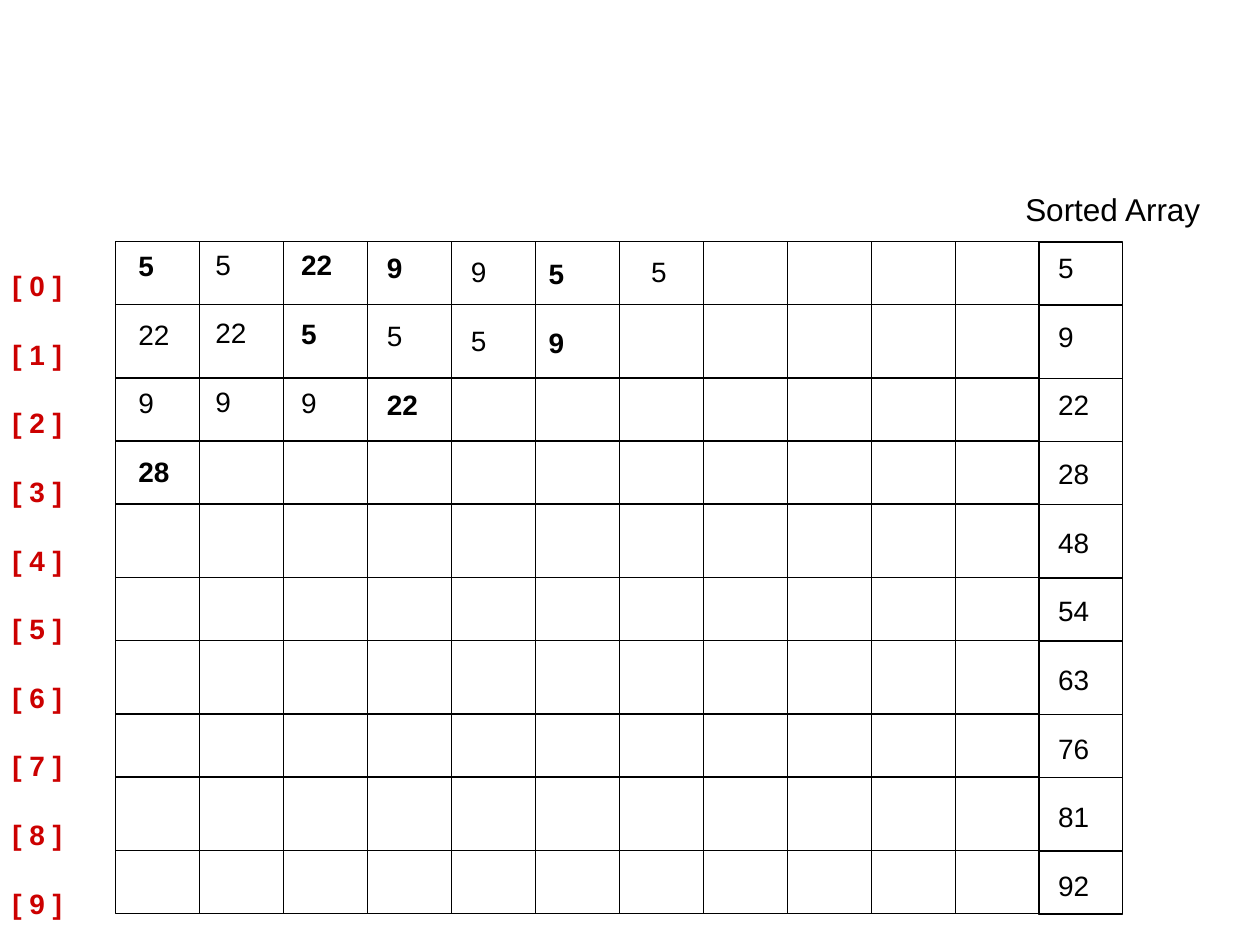
import itertools
from dataclasses import dataclass

import pptx
import pptx.dml.color
import pptx.enum.shapes
import pptx.enum.text
import pptx.oxml
import pptx.util
from pptx.util import Pt


@dataclass(frozen=True)
class Theme:
    ink = pptx.dml.color.RGBColor(0x00, 0x00, 0x00)
    index = pptx.dml.color.RGBColor(0xCC, 0x00, 0x00)
    font = "Arial"
    body = Pt(16)
    heading = Pt(18)
    rule = Pt(1)
    entry_gap = Pt(20)


THEME = Theme()
ROW_HEIGHTS = [36, 42, 36, 36, 42, 36, 42, 36, 42, 36]
COLUMN_WIDTH = 48
GRID_LEFT, GRID_TOP = 66, 138
GRID_COLUMNS = 11
SORTED_VALUES = "5 9 22 28 48 54 63 76 81 92".split()

# Left and top of each heap state; an asterisk marks a bold entry.
HEAP_STATES = [
    (72, 138.5, ["*5", "22", "9", "*28"]),
    (116, 137.8, ["5", "22", "9"]),
    (165, 138.2, ["*22", "*5", "9"]),
    (214, 139.5, ["*9", "5", "*22"]),
    (262, 142, ["9", "5"]),
    (306.5, 143.3, ["*5", "*9"]),
    (365, 142, ["5"]),
]


def set_values(target, values):
    for name, value in values.items():
        setattr(target, name, value)


def add_array_column(page, box):
    """Draw one framed array column with a line below each cell but the last."""
    left, top, width, height = box
    column = page.shapes.add_group_shape()
    frame = column.shapes.add_shape(
        pptx.enum.shapes.MSO_SHAPE.RECTANGLE, Pt(left), Pt(top), Pt(width), Pt(height))
    frame.shadow.inherit = False
    frame.fill.background()
    dividers = []
    for offset in itertools.accumulate(ROW_HEIGHTS[:-1]):
        y = Pt(top + offset)
        divider = column.shapes.add_connector(
            pptx.enum.shapes.MSO_CONNECTOR.STRAIGHT, Pt(left), y, Pt(left + width), y)
        divider._element.spPr.append(pptx.oxml.parse_xml(
            '<a:effectLst xmlns:a="http://schemas.openxmlformats.org/drawingml/2006/main"/>'))
        dividers.append(divider)
    for outline in [frame, *dividers]:
        outline.line.width = THEME.rule
        outline.line.color.rgb = THEME.ink


def add_entries(page, box, entries, color=THEME.ink, size=THEME.body, wrap=True):
    """Stack entries in one text box; a leading asterisk makes an entry bold."""
    text_box = page.shapes.add_textbox(*map(Pt, box))
    frame = text_box.text_frame
    set_values(frame, {
        "word_wrap": wrap,
        "vertical_anchor": pptx.enum.text.MSO_ANCHOR.TOP,
        "margin_left": Pt(7.2), "margin_right": Pt(7.2),
        "margin_top": Pt(3.6), "margin_bottom": Pt(3.6),
    })
    for number, entry in enumerate(entries):
        para = frame.add_paragraph() if number else frame.paragraphs[0]
        set_values(para, {
            "alignment": pptx.enum.text.PP_ALIGN.LEFT,
            "space_after": THEME.entry_gap if number < len(entries) - 1 else Pt(0),
        })
        span = para.add_run()
        span.text = entry.lstrip("*")
        set_values(span.font, {
            "name": THEME.font, "size": size, "bold": entry.startswith("*")})
        span.font.color.rgb = color


def add_heap_grid(page, box):
    left, top, width, height = box
    column_width = width / GRID_COLUMNS
    for number in range(GRID_COLUMNS):
        add_array_column(page, (left + number * column_width, top, column_width, height))
    for state_left, state_top, entries in HEAP_STATES:
        add_entries(page, (state_left, state_top, 36, 38.4 * len(entries)), entries)


def add_index_labels(page, box):
    labels = [f"*[ {number} ]" for number in range(len(ROW_HEIGHTS))]
    add_entries(page, box, labels, color=THEME.index, wrap=False)


def add_sorted_array(page, box):
    left, top, width, height = box
    add_array_column(page, box)
    add_entries(page, (left + 4.1, top + 1.5, 32.4, 376), SORTED_VALUES, wrap=False)
    add_entries(page, (left - 14.7, top - 33, 115.2, 28.8), ["Sorted Array"],
                size=THEME.heading, wrap=False)


def main():
    deck = pptx.Presentation()
    set_values(deck, {"slide_width": Pt(720), "slide_height": Pt(540)})
    page = deck.slides.add_slide(deck.slide_layouts[6])
    height = sum(ROW_HEIGHTS)
    add_heap_grid(page, (GRID_LEFT, GRID_TOP, GRID_COLUMNS * COLUMN_WIDTH, height))
    add_index_labels(page, (0, 150, 43.2, 373))
    add_sorted_array(page, (593.5, GRID_TOP + 0.3, COLUMN_WIDTH, height))
    deck.save("out.pptx")


if __name__ == "__main__":
    main()
